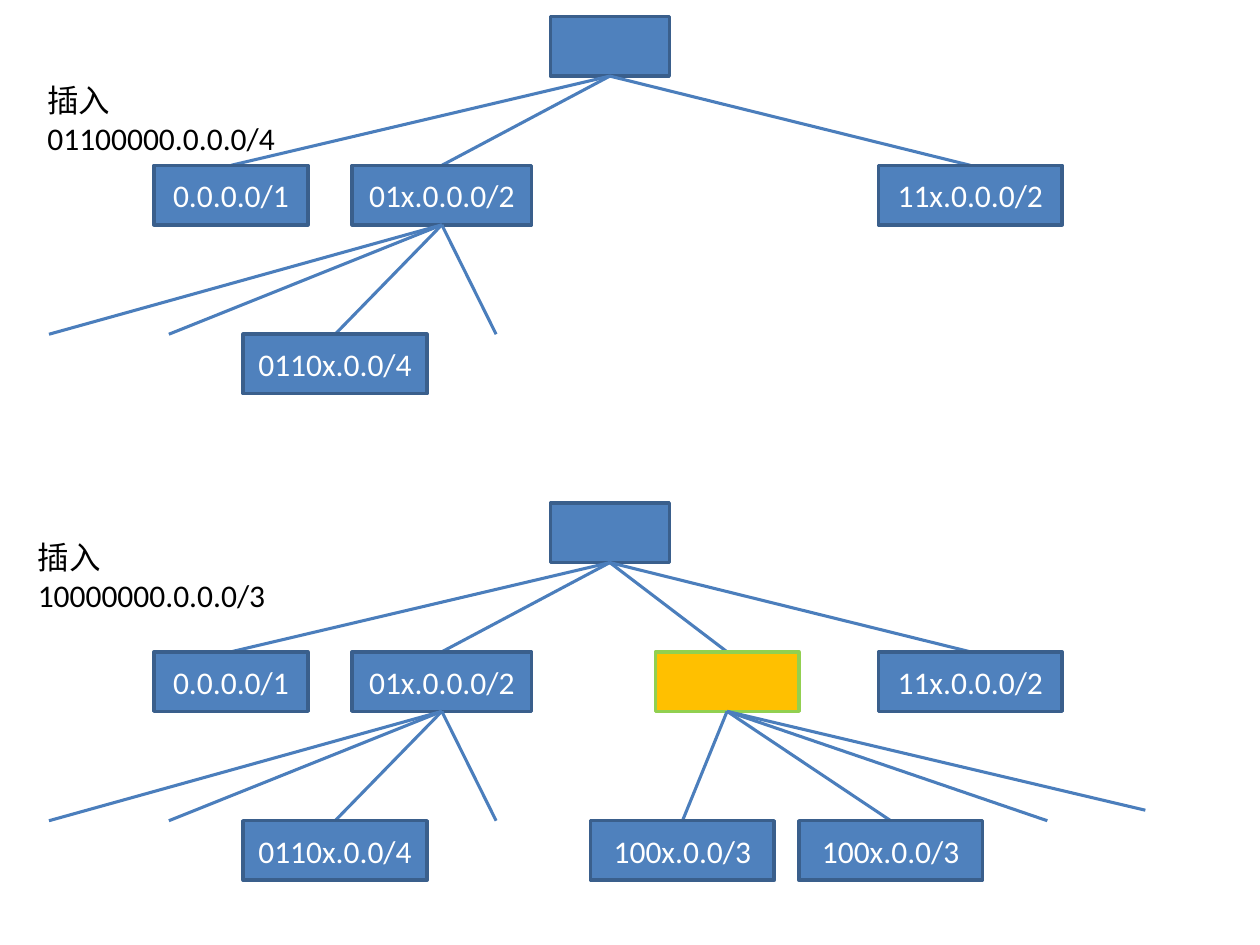
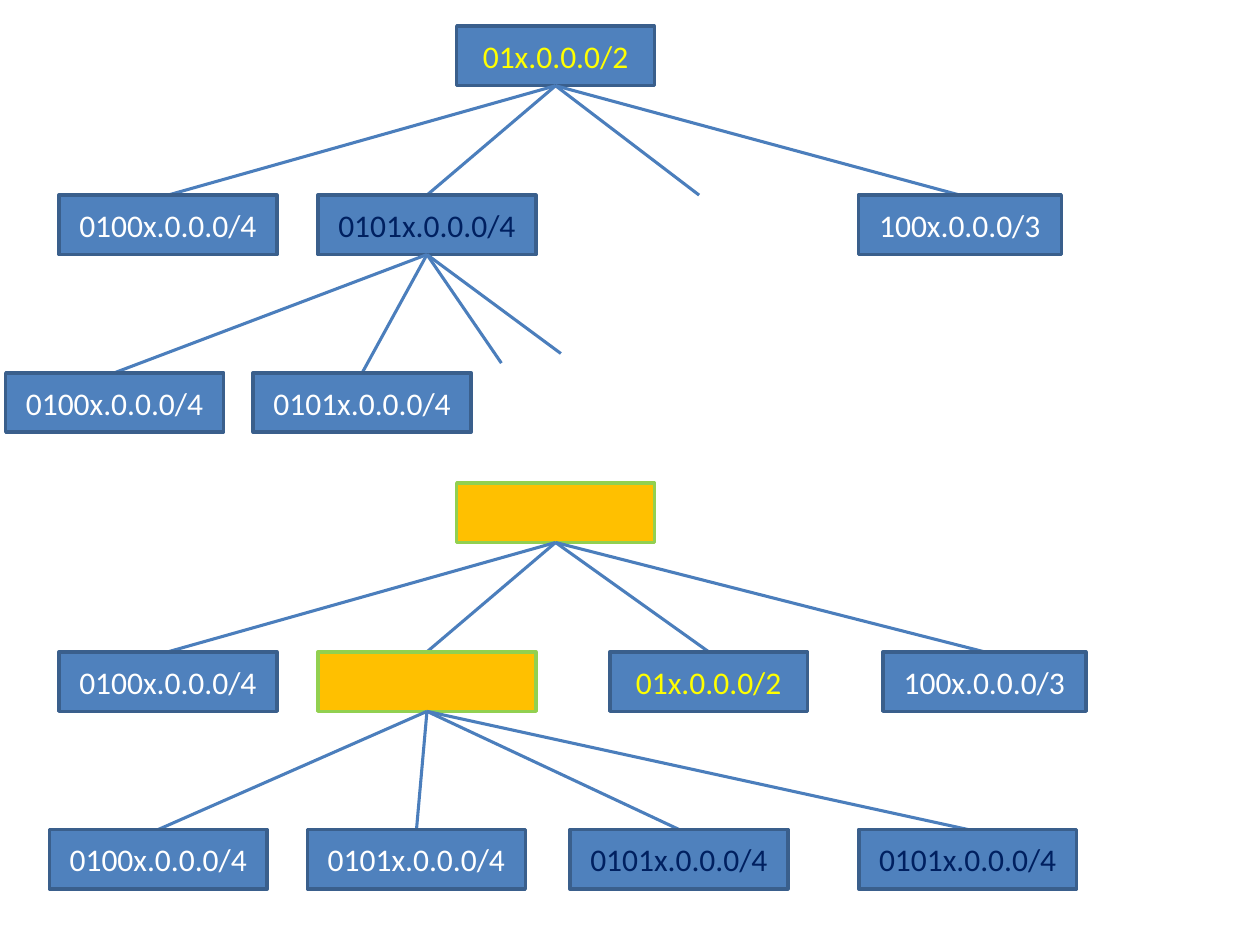
from dataclasses import dataclass

import lxml.etree
import pptx
import pptx.dml.color
import pptx.enum.shapes
import pptx.enum.text
import pptx.oxml.ns
import pptx.util

Pt = pptx.util.Pt
FONT = "Calibri"
FONT_SIZE = 18
BOX_HEIGHT = 34
EDGE_COLOR = "4B7EBC"
WHITE, YELLOW, NAVY, BLACK = "FFFFFF", "FFFF00", "002060", "000000"


@dataclass(frozen=True)
class Style:
    fill: str
    line: str


PREFIX = Style("4F81BD", "3A5F8C")
SPLIT = Style("FFC000", "92D050")


@dataclass(frozen=True)
class Stub:
    center: float
    rise: float = 0


@dataclass(frozen=True)
class Node:
    center: float
    width: float
    label: str = ""
    color: str = WHITE
    style: Style = PREFIX
    children: tuple = ()


@dataclass(frozen=True)
class Tree:
    root: Node
    levels: tuple[float, ...]


@dataclass(frozen=True)
class Caption:
    left: float
    top: float
    text: str


def rgb(color: str) -> pptx.dml.color.RGBColor:
    return pptx.dml.color.RGBColor.from_string(color)


def format_text(frame, text: str, color: str) -> None:
    para = frame.paragraphs[0]
    para.text = text
    para.font.name = FONT
    para.font.size = Pt(FONT_SIZE)
    para.font.color.rgb = rgb(color)


def draw_box(page, node: Node, top: float):
    box = page.shapes.add_shape(
        pptx.enum.shapes.MSO_SHAPE.RECTANGLE,
        Pt(node.center - node.width / 2), Pt(top), Pt(node.width), Pt(BOX_HEIGHT),
    )
    box.shadow.inherit = False
    box.fill.solid()
    box.fill.fore_color.rgb = rgb(node.style.fill)
    box.line.color.rgb = rgb(node.style.line)
    box.line.width = Pt(2)
    if node.label:
        box.text_frame.vertical_anchor = pptx.enum.text.MSO_ANCHOR.MIDDLE
        format_text(box.text_frame, node.label, node.color)
        box.text_frame.paragraphs[0].alignment = pptx.enum.text.PP_ALIGN.CENTER
    return box


def draw_edge(page, parent: Node, parent_top: float, center: float, end: float):
    edge = page.shapes.add_connector(
        pptx.enum.shapes.MSO_CONNECTOR.STRAIGHT,
        Pt(parent.center), Pt(parent_top + BOX_HEIGHT), Pt(center), Pt(end),
    )
    edge.line.color.rgb = rgb(EDGE_COLOR)
    edge.line.width = Pt(1.75)
    properties = edge._element.spPr
    lxml.etree.SubElement(properties, pptx.oxml.ns.qn("a:effectLst"))
    return edge


def draw_node(page, node: Node, levels: tuple[float, ...]):
    box = draw_box(page, node, levels[0])
    for child in node.children:
        rise = child.rise if isinstance(child, Stub) else 0
        edge = draw_edge(page, node, levels[0], child.center, levels[1] - rise)
        edge.begin_connect(box, 2)
        if isinstance(child, Node):
            edge.end_connect(draw_node(page, child, levels[1:]), 0)
    return box


def draw_caption(page, caption: Caption) -> None:
    box = page.shapes.add_textbox(Pt(caption.left), Pt(caption.top), Pt(178), Pt(29))
    box.text_frame.word_wrap = True
    box.text_frame.auto_size = pptx.enum.text.MSO_AUTO_SIZE.SHAPE_TO_FIT_TEXT
    format_text(box.text_frame, caption.text, BLACK)


def draw_page(deck, trees: list[Tree], captions: list[Caption]) -> None:
    page = deck.slides.add_slide(deck.slide_layouts[6])
    for tree in trees:
        draw_node(page, tree.root, tree.levels)
    for caption in captions:
        draw_caption(page, caption)


def wide(center: float, label: str, color: str = WHITE, children: tuple = ()) -> Node:
    return Node(center, 124.5, label, color, children=children)


def insert_root(*middle: Node) -> Node:
    low = Node(132, 88, "0.0.0.0/1")
    branch = Node(252.5, 102.5, "01x.0.0.0/2", children=(
        Stub(28), Stub(96.5), Node(191.5, 105, "0110x.0.0/4"), Stub(283.5),
    ))
    high = Node(554.5, 105, "11x.0.0.0/2")
    return Node(348.5, 68, children=(low, branch, *middle, high))


inserted_split = Node(415.5, 82, style=SPLIT, children=(
    Node(390, 105, "100x.0.0/3"), Node(509, 105, "100x.0.0/3"),
    Stub(598.5), Stub(654.5, 6),
))

before_split = Node(317.5, 113, "01x.0.0.0/2", YELLOW, children=(
    wide(96, "0100x.0.0.0/4"),
    wide(244, "0101x.0.0.0/4", NAVY, (
        wide(65.5, "0100x.0.0.0/4"), wide(207, "0101x.0.0.0/4"),
        Stub(286.5, 5.5), Stub(320.5, 11),
    )),
    Stub(399.5),
    Node(548.5, 116, "100x.0.0.0/3"),
))

after_split = Node(317.5, 113, style=SPLIT, children=(
    wide(96, "0100x.0.0.0/4"),
    Node(244, 124.5, style=SPLIT, children=(
        wide(90.5, "0100x.0.0.0/4"), wide(238, "0101x.0.0.0/4"),
        wide(388, "0101x.0.0.0/4", NAVY), wide(553, "0101x.0.0.0/4", NAVY),
    )),
    Node(405, 113, "01x.0.0.0/2", YELLOW),
    Node(562.5, 116, "100x.0.0.0/3"),
))

deck = pptx.Presentation()
deck.slide_width, deck.slide_height = Pt(720), Pt(540)
draw_page(
    deck,
    [Tree(insert_root(), (9.5, 94.5, 191)),
     Tree(insert_root(inserted_split), (287.5, 372.5, 469))],
    [Caption(20, 43, "插入01100000.0.0.0/4"), Caption(14.5, 304, "插入10000000.0.0.0/3")],
)
draw_page(
    deck,
    [Tree(before_split, (15, 111.5, 213)), Tree(after_split, (276, 372.5, 474))],
    [],
)
deck.save("out.pptx")
